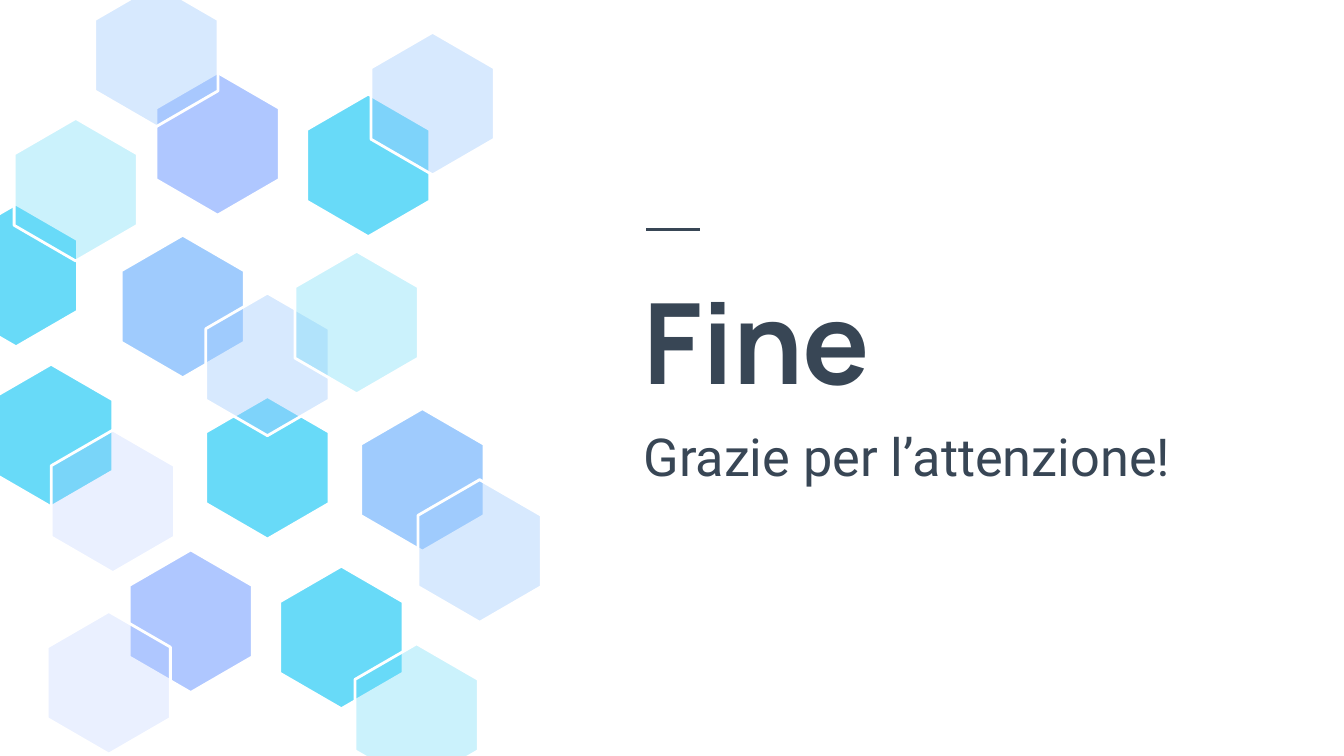
from lxml import etree
from pptx import Presentation
from pptx.dml.color import RGBColor
from pptx.enum.shapes import MSO_CONNECTOR
from pptx.enum.text import MSO_ANCHOR, PP_ALIGN
from pptx.oxml.ns import qn
from pptx.util import Pt

STRAIGHT = MSO_CONNECTOR.STRAIGHT
MIDDLE = MSO_ANCHOR.MIDDLE
LEFT = PP_ALIGN.LEFT

THEME = {
    "ink": "384655",
    "white": "FFFFFF",
    "cyan": "68DAF8",
    "blue": "9FCBFD",
    "violet": "AFC7FF",
    "title": ("Manrope", 60, True),
    "subtitle": ("Roboto", 28, False),
    "line": 1.5,
}
TINT_ALPHA = {"cyan": 34, "blue": 41, "violet": 25}

TEXTS = [
    ("Fine", "title", 131, 102.2),
    ("Grazie per l’attenzione!", "subtitle", 221.8, 44.6),
]
TEXT_LEFT, TEXT_WIDTH, INSET = 337.7, 326.2, 7.2
RULE_LEFT, RULE_RIGHT, RULE_Y = 346.3, 375.1, 123.1

HEX_W, HEX_H = 66, 76.4
HEXAGONS = [
    (197.3, 50.4, "cyan", False),
    (143.3, 212.4, "cyan", False),
    (116.6, 38.9, "violet", False),
    (83.8, -8.6, "blue", True),
    (97.9, 126, "blue", False),
    (143.3, 157, "blue", True),
    (191.1, 134.6, "cyan", True),
    (27.4, 195.1, "cyan", False),
    (102.2, 294.6, "violet", False),
    (58.3, 327.6, "violet", True),
    (226.3, 218.9, "blue", False),
    (257, 257, "blue", True),
    (182.9, 303.3, "cyan", False),
    (223.2, 344.9, "cyan", True),
    (60.5, 230.4, "violet", True),
    (231.8, 17.3, "blue", True),
    (8.6, 109.4, "cyan", False),
    (40.6, 63.4, "cyan", True),
]


def color(name):
    return RGBColor.from_string(THEME[name])


def add_hexagon(shapes, x, top, name, tinted):
    half, quarter = HEX_W / 2, HEX_H / 4
    corners = [
        (x - half, top + quarter),
        (x - half, top + 3 * quarter),
        (x, top + HEX_H),
        (x + half, top + 3 * quarter),
        (x + half, top + quarter),
    ]
    builder = shapes.build_freeform(Pt(x), Pt(top))
    builder.add_line_segments([(Pt(cx), Pt(cy)) for cx, cy in corners], close=True)
    sp = builder.convert_to_shape()
    sp.shadow.inherit = False
    sp.fill.solid()
    sp.fill.fore_color.rgb = color(name)
    sp.line.color.rgb = color("white")
    sp.line.width = Pt(THEME["line"])
    if tinted:
        clr = sp._element.spPr.find(qn("a:solidFill")).find(qn("a:srgbClr"))
        etree.SubElement(clr, qn("a:alpha"), val=str(TINT_ALPHA[name] * 1000))


def add_rule(shapes):
    rule = shapes.add_connector(STRAIGHT, Pt(RULE_LEFT), Pt(RULE_Y), Pt(RULE_RIGHT), Pt(RULE_Y))
    rule.line.color.rgb = color("ink")
    rule.line.width = Pt(THEME["line"])
    etree.SubElement(rule._element.spPr, qn("a:effectLst"))


def add_text(shapes, text, style, top, height):
    box = shapes.add_textbox(Pt(TEXT_LEFT), Pt(top), Pt(TEXT_WIDTH), Pt(height))
    tf = box.text_frame
    tf.word_wrap = True
    tf.vertical_anchor = MIDDLE
    tf.margin_left = tf.margin_right = tf.margin_top = tf.margin_bottom = Pt(INSET)
    tf.text = text
    p = tf.paragraphs[0]
    p.alignment = LEFT
    font = p.runs[0].font
    font.name, size, font.bold = THEME[style]
    font.size = Pt(size)
    font.color.rgb = color("ink")


def main():
    prs = Presentation()
    prs.slide_width, prs.slide_height = Pt(720), Pt(405)
    s = prs.slides.add_slide(prs.slide_layouts[6])
    pattern = s.shapes.add_group_shape()
    for hexagon in HEXAGONS:
        add_hexagon(pattern.shapes, *hexagon)
    add_rule(s.shapes)
    for text in TEXTS:
        add_text(s.shapes, *text)
    prs.save("out.pptx")


if __name__ == "__main__":
    main()
